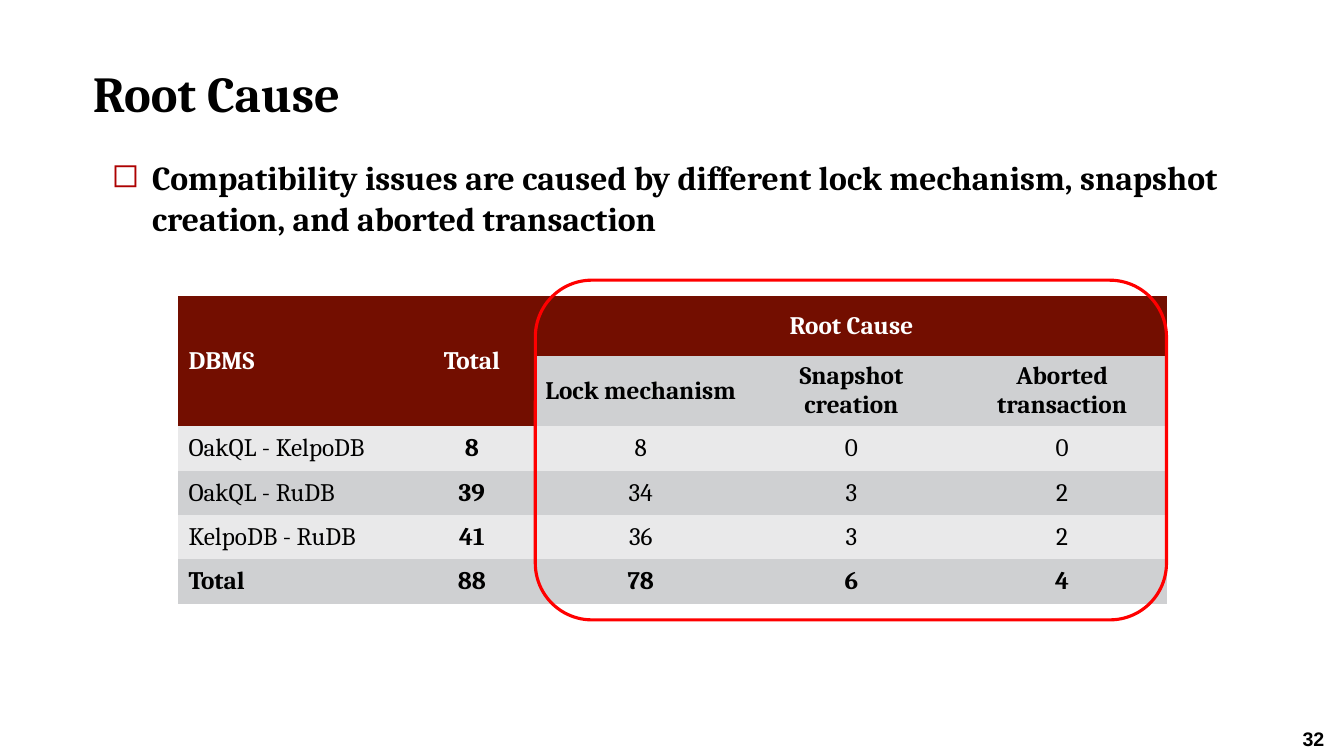
from dataclasses import dataclass

from lxml import etree
from pptx import Presentation
from pptx import util as u
from pptx.dml.color import RGBColor
from pptx.enum import shapes, text
from pptx.oxml import ns

COLORS = {
    "black": "000000",
    "white": "FFFFFF",
    "header": "730E00",
    "dark_band": "CFD0D2",
    "light_band": "E9E9EA",
    "bullet": "AD0101",
    "highlight": "FF0000",
}
NO_GRID_STYLE = "{2D5ABB26-0587-4C30-8999-92F81FD0307C}"
COLUMN_WIDTHS = (2.28, 1.26, 2.09, 2.09, 2.09)
ROW_HEIGHTS = (0.59, 0.65, 0.44, 0.44, 0.44, 0.44)


@dataclass(frozen=True)
class CauseRow:
    values: tuple[str, ...]
    fill: str
    color: str = "black"
    bold_columns: tuple[int, ...] = (0, 1, 2, 3, 4)


CAUSE_ROWS = (
    CauseRow(("DBMS", "Total", "Root Cause", "", ""), "header", "white"),
    CauseRow(("", "", "Lock mechanism", "Snapshot creation", "Aborted\ntransaction"), "dark_band"),
    CauseRow(("OakQL - KelpoDB", "8", "8", "0", "0"), "light_band", bold_columns=(1,)),
    CauseRow(("OakQL - RuDB", "39", "34", "3", "2"), "dark_band", bold_columns=(1,)),
    CauseRow(("KelpoDB - RuDB", "41", "36", "3", "2"), "light_band", bold_columns=(1,)),
    CauseRow(("Total", "88", "78", "6", "4"), "dark_band"),
)


def rgb(name: str) -> RGBColor:
    """Return the named colour."""
    return RGBColor.from_string(COLORS[name])


def box(left: float, top: float, width: float, height: float) -> tuple[u.Length, ...]:
    """Return a position and size in inches."""
    return tuple(u.Inches(length) for length in (left, top, width, height))


def style(frame, size: float, color: str = "black", bold: bool = True,
          face: str = "Cambria", align=text.PP_ALIGN.LEFT) -> None:
    """Format every paragraph of a text frame."""
    for paragraph in frame.paragraphs:
        paragraph.alignment = align
        font = paragraph.font
        font.name, font.size, font.bold = face, u.Pt(size), bold
        font.color.rgb = rgb(color)


def add_title(slide) -> None:
    """Fill and place the title."""
    title = slide.shapes.title
    title.left, title.top, title.width, title.height = box(0.82, 0.34, 11.84, 0.93)
    frame = title.text_frame
    frame.text = "Root Cause"
    frame.auto_size = text.MSO_AUTO_SIZE.NONE
    frame.vertical_anchor = text.MSO_ANCHOR.BOTTOM
    frame.paragraphs[0].line_spacing = u.Pt(46.7)
    style(frame, 36)


def add_finding(slide) -> None:
    """Add the bulleted finding."""
    frame = slide.shapes.add_textbox(*box(1.01, 1.51, 11.42, 0.91)).text_frame
    frame.word_wrap = True
    frame.text = ("Compatibility issues are caused by different lock mechanism, "
                  "snapshot creation, and aborted transaction")
    style(frame, 24)
    finding = frame.paragraphs[0]
    finding.space_before = u.Pt(16)
    properties = finding._p.get_or_add_pPr()
    properties.set("marL", str(u.Inches(0.4)))
    properties.set("indent", str(-u.Inches(0.4)))
    bullet_color = etree.Element(ns.qn("a:buClr"))
    etree.SubElement(bullet_color, ns.qn("a:srgbClr"), val=COLORS["bullet"])
    bullet = etree.Element(ns.qn("a:buChar"), char="◻")
    defaults = properties.find(ns.qn("a:defRPr"))
    defaults.addprevious(bullet_color)
    defaults.addprevious(bullet)


def add_causes(slide) -> None:
    """Add the table of root causes."""
    frame = slide.shapes.add_table(
        len(ROW_HEIGHTS), len(COLUMN_WIDTHS),
        *box(1.77, 2.94, sum(COLUMN_WIDTHS), sum(ROW_HEIGHTS)))
    causes = frame.table
    causes.first_row = causes.horz_banding = False
    causes._tbl.tblPr.find(ns.qn("a:tableStyleId")).text = NO_GRID_STYLE
    for column, width in zip(causes.columns, COLUMN_WIDTHS):
        column.width = u.Inches(width)
    for row, height in zip(causes.rows, ROW_HEIGHTS):
        row.height = u.Inches(height)
    for first, last in (((0, 0), (1, 0)), ((0, 1), (1, 1)), ((0, 2), (0, 4))):
        causes.cell(*first).merge(causes.cell(*last))
    for row_index, cause in enumerate(CAUSE_ROWS):
        for column_index, value in enumerate(cause.values):
            cell = causes.cell(row_index, column_index)
            if cell.is_spanned:
                continue
            cell.text = value
            cell.vertical_anchor = text.MSO_ANCHOR.MIDDLE
            cell.fill.solid()
            cell.fill.fore_color.rgb = rgb(cause.fill)
            style(cell.text_frame, 18, cause.color, column_index in cause.bold_columns,
                  align=text.PP_ALIGN.CENTER if column_index else text.PP_ALIGN.LEFT)


def add_highlight(slide) -> None:
    """Outline the root cause columns."""
    highlight = slide.shapes.add_shape(
        shapes.MSO_SHAPE.ROUNDED_RECTANGLE, *box(5.31, 2.78, 6.26, 3.37))
    highlight.shadow.inherit = False
    highlight.fill.background()
    highlight.line.color.rgb = rgb("highlight")
    highlight.line.width = u.Pt(2.25)


def add_page_number(slide) -> None:
    """Add the page number."""
    frame = slide.shapes.add_textbox(*box(12.82, 7.16, 0.48, 0.34)).text_frame
    frame.text = "32"
    style(frame, 14, face="Arial")


def main() -> None:
    """Build and save the slide."""
    deck = Presentation()
    deck.slide_width, deck.slide_height = u.Inches(13.33), u.Inches(7.5)
    slide = deck.slides.add_slide(deck.slide_layouts[5])
    add_page_number(slide)
    add_title(slide)
    add_causes(slide)
    add_highlight(slide)
    add_finding(slide)
    deck.save("out.pptx")


if __name__ == "__main__":
    main()
